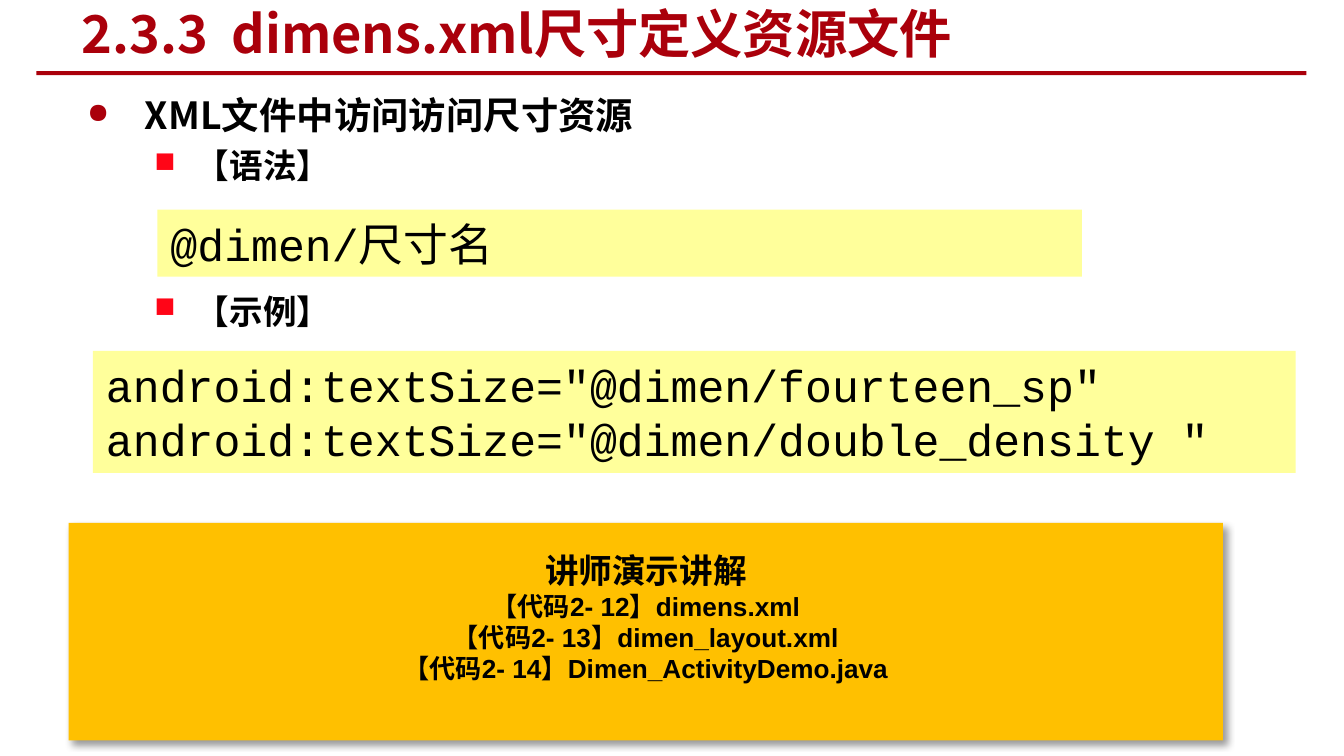
"""Build the slide on dimension resources in dimens.xml."""
from lxml.etree import SubElement
from pptx import Presentation
from pptx.dml.color import RGBColor
from pptx.enum.shapes import MSO_SHAPE as Shape
from pptx.enum.text import MSO_ANCHOR as Anchor, PP_ALIGN as Align
from pptx.oxml.ns import qn
from pptx.util import Inches, Pt

COLORS = {"red": "AA000B", "bright": "FF0517", "code": "FFFF9B",
          "demo": "FFC000", "black": "000000"}
SANS = "Noto Sans CJK SC"
WIDTH = 10
HEIGHT = WIDTH * 9 / 16

TITLE = {"font": SANS, "size": 28, "bold": True, "color": "red"}
TOPIC = {"font": SANS, "size": 20, "bold": True, "line": Pt(26),
         "bullet": ("●", "red", 75, 0.43, 0.43)}
ITEM = {**TOPIC, "size": 18, "bullet": ("■", "bright", 85, 0.81, 0.31)}
CODE = {"font": "Courier New", "size": 24, "bold": False}
HEADING = {"font": SANS, "size": 18, "bold": True, "line": 1.5, "align": Align.CENTER}
LISTING = {"font": "Arial", "size": 14, "bold": True, "align": Align.CENTER}

BOXES = [
    ((0.27, 0.53, 9.45, 0.03), "red", Anchor.MIDDLE, []),
    ((0.51, 0.02, 8.78, 0.45), None, Anchor.MIDDLE,
     [("2.3.3  dimens.xml尺寸定义资源文件", TITLE)]),
    ((0.55, 0.61, 8.59, 1.9), None, Anchor.TOP,
     [("XML文件中访问访问尺寸资源", TOPIC),
      ("【语法】", ITEM),
      ("【示例】", {**ITEM, "before": 52})]),
    ((1.17, 1.56, 6.88, 0.5), "code", Anchor.MIDDLE, [("@dimen/尺寸名", CODE)]),
    ((0.69, 2.61, 8.95, 0.91), "code", Anchor.MIDDLE,
     [('android:textSize="@dimen/fourteen_sp"', CODE),
      ('android:textSize="@dimen/double_density "', CODE)]),
    ((0.51, 3.89, 8.59, 1.62), "demo", Anchor.TOP,
     [("讲师演示讲解", HEADING),
      ("【代码2- 12】dimens.xml", LISTING),
      ("【代码2- 13】dimen_layout.xml", LISTING),
      ("【代码2- 14】Dimen_ActivityDemo.java", LISTING)]),
]


def rgb(name):
    return RGBColor.from_string(COLORS[name])


def add_bullet(para, mark, color, percent, margin, hanging):
    props = para._p.get_or_add_pPr()
    props.set("marL", str(Inches(margin)))
    props.set("indent", str(-Inches(hanging)))
    tint = SubElement(props, qn("a:buClr"))
    SubElement(tint, qn("a:srgbClr"), val=COLORS[color])
    SubElement(props, qn("a:buSzPct"), val=str(percent * 1000))
    SubElement(props, qn("a:buChar"), char=mark)


def add_shadow(box):
    effects = box._element.spPr.find(qn("a:effectLst"))
    shadow = SubElement(effects, qn("a:outerShdw"), blurRad=str(Pt(4)),
                        dist=str(Pt(3)), dir=str(45 * 60000),
                        algn="tl", rotWithShape="0")
    tint = SubElement(shadow, qn("a:srgbClr"), val=COLORS["black"])
    SubElement(tint, qn("a:alpha"), val="40000")


def write(para, text, style):
    layout = {"alignment": style.get("align", Align.LEFT),
              "line_spacing": style.get("line", 1.0),
              "space_before": Pt(style.get("before", 0))}
    for name, value in layout.items():
        setattr(para, name, value)
    if "bullet" in style:
        add_bullet(para, *style["bullet"])
    span = para.add_run()
    span.text = text
    values = {"name": style["font"], "size": Pt(style["size"]), "bold": style["bold"]}
    for name, value in values.items():
        setattr(span.font, name, value)
    span.font.color.rgb = rgb(style.get("color", "black"))
    SubElement(span._r.get_or_add_rPr(), qn("a:ea"), typeface=SANS)


def add_box(page, place, fill, anchor, lines):
    area = [Inches(length) for length in place]
    if fill:
        box = page.shapes.add_shape(Shape.RECTANGLE, *area)
        box.shadow.inherit = False
        box.fill.solid()
        box.fill.fore_color.rgb = rgb(fill)
        box.line.fill.background()
    else:
        box = page.shapes.add_textbox(*area)
    if fill == "demo":
        add_shadow(box)
    frame = box.text_frame
    frame.word_wrap = True
    frame.vertical_anchor = anchor
    for index, (text, style) in enumerate(lines):
        para = frame.add_paragraph() if index else frame.paragraphs[0]
        write(para, text, style)


def main():
    deck = Presentation()
    deck.slide_width, deck.slide_height = Inches(WIDTH), Inches(HEIGHT)
    page = deck.slides.add_slide(deck.slide_layouts[6])
    for box in BOXES:
        add_box(page, *box)
    deck.save("out.pptx")


if __name__ == "__main__":
    main()
